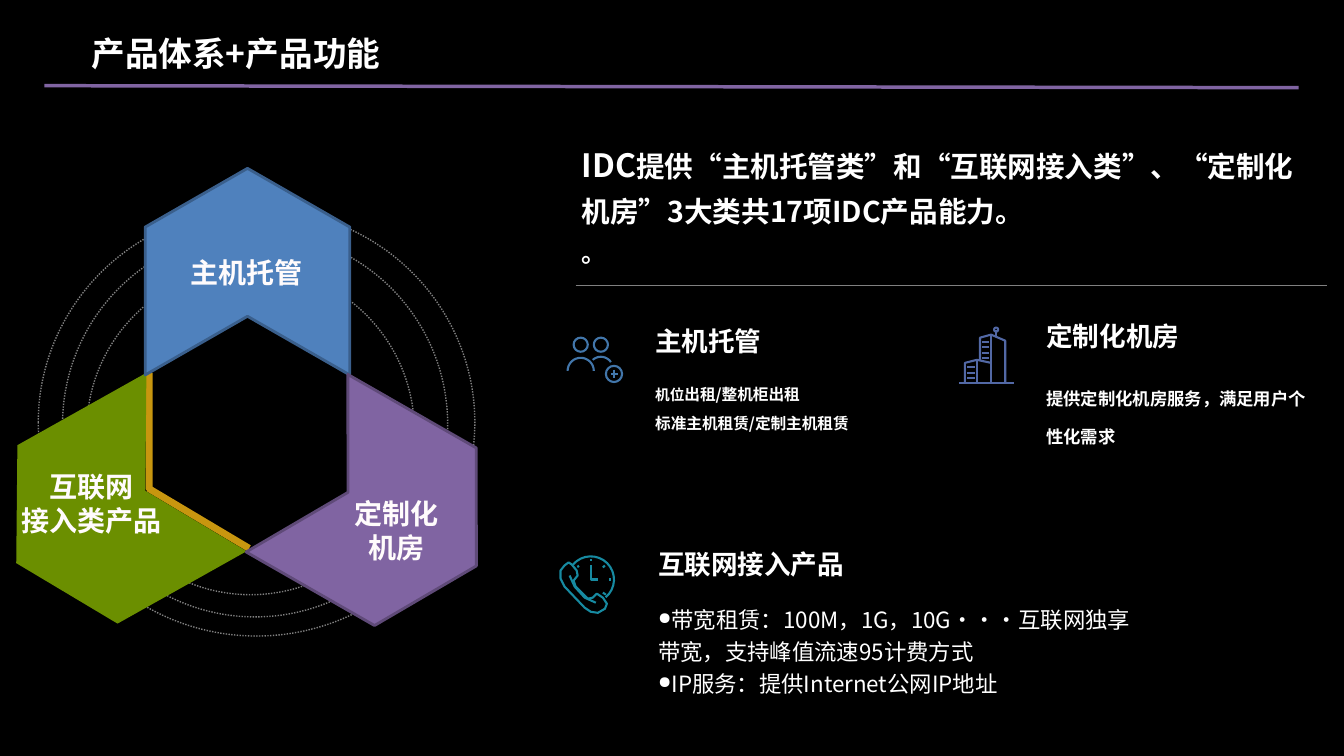
from math import cos, radians, sin

from lxml.etree import SubElement
from pptx import Presentation
from pptx.dml.color import RGBColor
from pptx.enum.dml import MSO_LINE
from pptx.enum.shapes import MSO_CONNECTOR, MSO_SHAPE
from pptx.enum.text import MSO_ANCHOR, PP_ALIGN
from pptx.oxml.ns import qn
from pptx.util import Inches, Pt

THEME = {
    "font": "Noto Sans CJK SC",
    "back": "000000", "white": "FFFFFF", "label": "FFFBFC", "grey": "808080",
    "blue": "4F81BD", "blue_edge": "3A5F8C",
    "purple": "8064A2", "purple_edge": "5F4A78",
    "green": "6B8F00", "gold": "C8960F",
    "people": "4276AA", "building": "5268A5", "phone": "178AA1",
    "title_size": 24, "label_size": 20, "heading_size": 19, "body_size": 16,
}


def text(s, box, lines, size=None, color="white", bold=True, align=PP_ALIGN.LEFT,
         spacing=1.0, wrap=True, bullet=None, inset=(0.1, 0.05)):
    """Add a text box; a line is a string or a list of (string, size) runs."""
    tf = s.shapes.add_textbox(*map(Inches, box)).text_frame
    tf.word_wrap = wrap
    tf.vertical_anchor = MSO_ANCHOR.TOP
    tf.margin_left = tf.margin_right = Inches(inset[0])
    tf.margin_top = tf.margin_bottom = Inches(inset[1])
    for i, line in enumerate(lines):
        p = tf.paragraphs[0] if i == 0 else tf.add_paragraph()
        p.alignment = align
        p.line_spacing = spacing
        if bullet:
            pPr = p._p.get_or_add_pPr()
            pPr.set("marL", "0")
            pPr.set("indent", "0")
            SubElement(pPr, qn("a:buSzPct")).set("val", "75000")
            SubElement(pPr, qn("a:buChar")).set("char", bullet)
        for words, points in [(line, size)] if isinstance(line, str) else line:
            r = p.add_run()
            r.text = words
            r.font.size = Pt(points)
            r.font.bold = bold
            r.font.name = THEME["font"]
            r.font.color.rgb = RGBColor.from_string(THEME[color])
            SubElement(r._r.rPr, qn("a:ea")).set("typeface", THEME["font"])


def arc(x, y, radius, start=0, end=360, steps=16):
    """Return points along an arc, with angles in degrees clockwise from the right."""
    angles = [radians(start + (end - start) * i / steps) for i in range(steps + 1)]
    return [(x + radius * cos(a), y + radius * sin(a)) for a in angles]


prs = Presentation()
prs.slide_width, prs.slide_height = Inches(13.33), Inches(7.5)
s = prs.slides.add_slide(prs.slide_layouts[6])
s.background.fill.solid()
s.background.fill.fore_color.rgb = RGBColor.from_string(THEME["back"])

# Rules under the title and the summary
for x1, y1, x2, y2, color, width in (
    (0.44, 0.85, 12.88, 0.87, "purple", 2.5),
    (5.71, 2.83, 13.16, 2.83, "grey", 0.25),
):
    rule = s.shapes.add_connector(MSO_CONNECTOR.STRAIGHT, *map(Inches, (x1, y1, x2, y2)))
    rule.line.color.rgb = RGBColor.from_string(THEME[color])
    rule.line.width = Pt(width)
    SubElement(rule._element.spPr, qn("a:effectLst"))

# Title and summary
text(s, (0.81, 0.28, 10.17, 0.5), ["产品体系+产品功能"], THEME["title_size"])
text(s, (5.64, 1.26, 7.45, 1.51), [
    [("IDC", 22.9),
     ("提供“主机托管类”和“互联网接入类”、“定制化机房”3大类共17项IDC产品能力。", 20.4)],
    [("。", 17.9)],
], spacing=1.3, inset=(0.13, 0.07))

# Product headings and details
for x, y, w, heading in (
    (6.4, 3.17, 2.55, "主机托管"),
    (10.28, 3.12, 2.55, "定制化机房"),
    (6.43, 5.39, 5.24, "互联网接入产品"),
):
    text(s, (x, y, w, 0.52), [heading], THEME["heading_size"], wrap=False)
text(s, (6.4, 3.68, 2.51, 0.7),
     [[("机位", 10.5), ("出租/整机柜出租", 11.2)], "标准主机租赁/定制主机租赁"],
     11.2, spacing=1.5)
text(s, (10.28, 3.64, 2.82, 0.85), ["提供定制化机房服务，满足用户个性化需求"],
     12.4, spacing=1.8)
text(s, (6.43, 5.91, 5.05, 1.4), [
    "带宽租赁：100M，1G，10G···互联网独享带宽，支持峰值流速95计费方式",
    "IP服务：提供Internet公网IP地址",
], THEME["body_size"], bold=False, spacing=1.2, bullet="●")

# Dotted rings
for x, y, w, h in ((0.38, 2.07, 4.33, 4.24), (0.62, 2.3, 3.82, 3.82), (0.86, 2.65, 3.25, 3.25)):
    ring = s.shapes.add_shape(MSO_SHAPE.OVAL, *map(Inches, (x, y, w, h)))
    ring.shadow.inherit = False
    ring.fill.background()
    ring.line.color.rgb = RGBColor.from_string(THEME["grey"])
    ring.line.width = Pt(1)
    ring.line.dash_style = MSO_LINE.ROUND_DOT

# Icon strokes, and the gold inner edge of the green chevron
windows = [[(9.59, y), (9.67, y)] for y in (3.64, 3.7, 3.75)]
windows += [[(9.74, y), (9.81, y)] for y in (3.39, 3.44, 3.5, 3.55)]
drawings = {
    "people": [
        arc(5.76, 3.42, 0.07), arc(5.96, 3.42, 0.07), arc(6.09, 3.71, 0.08),
        arc(5.76, 3.68, 0.13, 180, 360), arc(5.96, 3.66, 0.12, 228, 326),
        [(6.06, 3.71), (6.13, 3.71)], [(6.09, 3.67), (6.09, 3.75)],
    ],
    "building": windows + [
        arc(9.88, 3.27, 0.02),
        [(9.51, 3.8), (10.06, 3.8)],
        [(9.57, 3.8), (9.57, 3.6), (9.69, 3.57), (9.83, 3.6)],
        [(9.69, 3.57), (9.69, 3.8)],
        [(9.72, 3.57), (9.72, 3.35), (9.83, 3.32), (9.97, 3.38), (9.97, 3.8)],
        [(9.83, 3.32), (9.83, 3.8)],
        [(9.88, 3.27), (9.88, 3.34)],
    ],
    "phone": [
        arc(5.86, 5.75, 0.23, 220, 410),
        [(5.86, 5.61), (5.86, 5.75), (5.93, 5.75)],
        [(5.86, 5.55), (5.86, 5.57)],
        [(6.04, 5.75), (6.06, 5.75)],
        [(6, 5.61), (5.98, 5.63)],
        [(5.73, 5.61), (5.74, 5.63)],
        [(5.98, 5.88), (6.01, 5.9)],
        [(5.65, 5.71), (5.7, 5.82), (5.8, 5.93), (5.91, 5.98)],
        [(5.64, 5.58), (5.6, 5.61), (5.56, 5.66), (5.56, 5.74), (5.6, 5.82),
         (5.8, 6.03), (5.86, 6.07), (5.93, 6.08), (6, 6.04), (6.02, 5.99),
         (5.98, 5.93), (5.92, 5.89), (5.88, 5.93), (5.83, 5.94), (5.71, 5.82),
         (5.69, 5.76), (5.73, 5.71), (5.72, 5.66), (5.67, 5.6), (5.64, 5.58)],
    ],
    "gold": [[(1.48, 3.7), (1.48, 4.85), (2.47, 5.44)]],
}
for color, strokes in drawings.items():
    (x, y), *_ = strokes[0]
    builder = s.shapes.build_freeform(Inches(x), Inches(y), scale=1.0)
    for i, stroke in enumerate(strokes):
        start, *rest = [(Inches(x), Inches(y)) for x, y in stroke]
        if i:
            builder.move_to(*start)
        builder.add_line_segments(rest, close=False)
    sp = builder.convert_to_shape()
    sp.shadow.inherit = False
    sp.fill.background()
    sp.line.color.rgb = RGBColor.from_string(THEME[color])
    sp.line.width = Pt(5 if color == "gold" else 1.5)

# Chevron wheel
for x, y, angle, color, edge in (
    (0.03, 4.07, 150.7, "green", None),
    (1.43, 1.68, 270, "blue", "blue_edge"),
    (2.81, 4.09, 29.8, "purple", "purple_edge"),
):
    chevron = s.shapes.add_shape(MSO_SHAPE.CHEVRON, *map(Inches, (x, y, 2.05, 2.03)))
    chevron.adjustments[0] = 0.287
    chevron.rotation = angle
    chevron.shadow.inherit = False
    chevron.fill.solid()
    chevron.fill.fore_color.rgb = RGBColor.from_string(THEME[color])
    if edge:
        chevron.line.color.rgb = RGBColor.from_string(THEME[edge])
        chevron.line.width = Pt(2)
    else:
        chevron.line.fill.background()

# Chevron labels
for box, lines in (
    ((1.33, 2.49, 2.23, 0.44), ["主机托管"]),
    ((0, 4.61, 1.82, 0.77), ["互联网", "接入类产品"]),
    ((3.3, 4.88, 1.27, 0.77), ["定制化机房"]),
):
    text(s, box, lines, THEME["label_size"], color="label", align=PP_ALIGN.CENTER)

prs.save("out.pptx")
